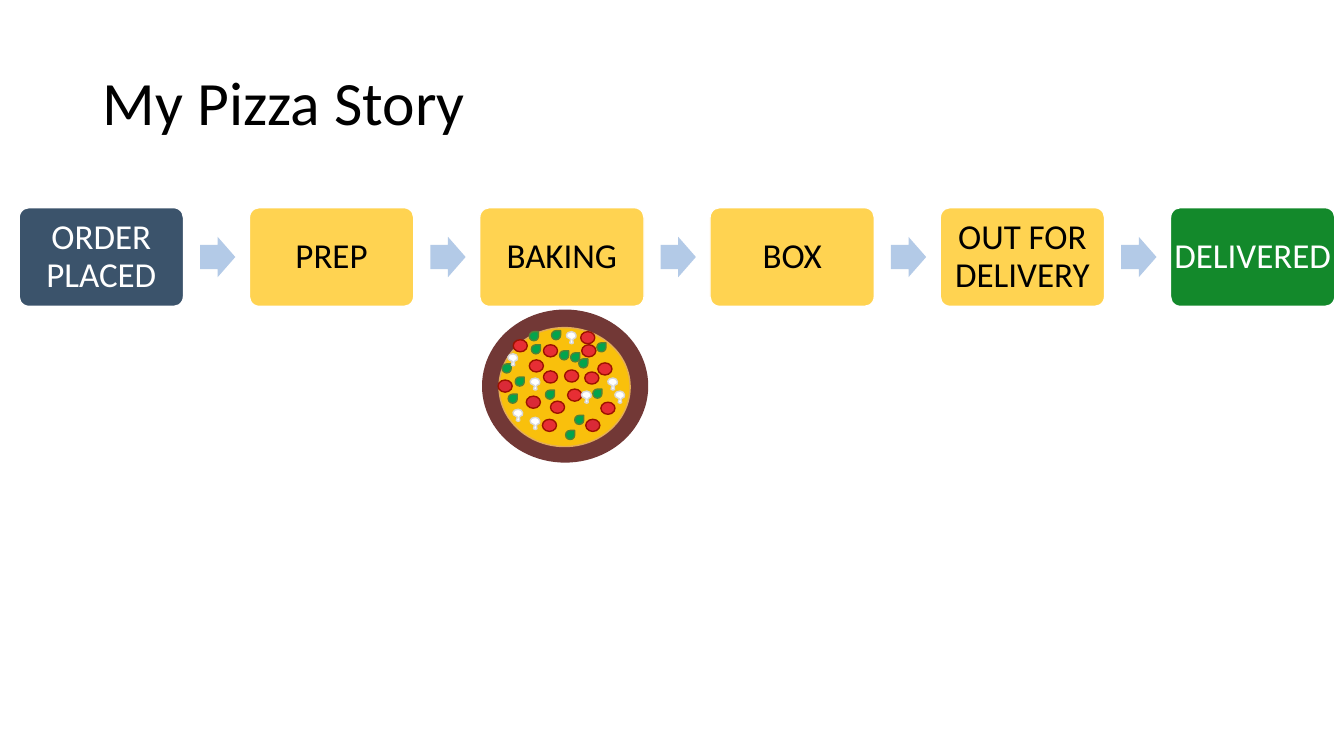
from lxml import etree
from pptx import Presentation
from pptx import util as u
from pptx.dml.color import RGBColor
from pptx.enum import shapes, text
from pptx.oxml import ns

NAVY = RGBColor(0x3B, 0x53, 0x6B)
YELLOW = RGBColor(0xFF, 0xD3, 0x51)
GREEN = RGBColor(0x13, 0x89, 0x2B)
BLUE = RGBColor(0xB3, 0xCA, 0xE7)
WHITE = RGBColor(0xFF, 0xFF, 0xFF)
BLACK = RGBColor(0, 0, 0)
CRUST = RGBColor(0x72, 0x38, 0x36)
DOUGH = RGBColor(0xE4, 0xAD, 0x56)
CHEESE = RGBColor(0xF9, 0xC0, 0x0C)
RED = RGBColor(0xE7, 0x2E, 0x34)
DARK = RGBColor(0xDA, 0x2A, 0x37)
RIM = RGBColor(0x9C, 0x12, 0x00)
LEAF = RGBColor(0x02, 0xA4, 0x4D)
STEM = RGBColor(0x54, 0x81, 0x35)
GREY = RGBColor(0xD8, 0xD8, 0xD8)

KIND = shapes.MSO_SHAPE
STEPS = [
    ("ORDER PLACED", NAVY, WHITE),
    ("PREP", YELLOW, BLACK),
    ("BAKING", YELLOW, BLACK),
    ("BOX", YELLOW, BLACK),
    ("OUT FOR DELIVERY", YELLOW, BLACK),
    ("DELIVERED", GREEN, WHITE),
]

# Topping places, from the top left of the pizza
TOMATOES = [
    (0.54, 0.54, RED), (0.37, 0.79, DARK), (0.4, 0.43, RED), (0.78, 0.72, RED),
    (0.61, 0.84, RED), (0.09, 0.63, DARK), (0.96, 1.02, DARK), (0.54, 0.28, RED),
    (0.53, 1.02, RED), (0.95, 0.55, RED), (0.75, 0.53, RED), (1.08, 0.46, RED),
    (1.11, 0.85, RED), (0.24, 0.23, RED), (0.91, 0.15, RED), (0.92, 0.28, RED),
]
LEAVES = [
    (0.56, 0.73), (0.85, 0.98), (0.19, 0.77), (1.03, 0.72), (0.89, 0.42),
    (0.76, 1.13), (0.62, 0.14), (0.42, 0.28), (0.13, 0.47), (0.26, 0.6),
    (1.07, 0.26), (0.81, 0.36), (0.7, 0.34), (0.4, 0.15),
]
MUSHROOMS = [
    (0.76, 0.15), (1.24, 0.74), (0.91, 0.74), (0.4, 0.61),
    (0.18, 0.37), (0.23, 0.92), (1.17, 0.61), (0.4, 1),
]
# Mushroom outline: a start and four cubic curves, cap first, then stem
START = (0.04, 0.07)
CURVES = [
    ((-0.01, 0.06), (0, 0), (0.06, 0)),
    ((0.11, 0), (0.12, 0.07), (0.08, 0.07)),
    ((0.05, 0.08), (0.1, 0.12), (0.06, 0.12)),
    ((0.01, 0.12), (0.08, 0.07), START),
]


def write(shape, words, size, color, align=text.PP_ALIGN.LEFT, inset=(0, 0)):
    frame = shape.text_frame
    frame.word_wrap = True
    frame.auto_size = text.MSO_AUTO_SIZE.NONE
    frame.vertical_anchor = text.MSO_ANCHOR.MIDDLE
    frame.margin_left = frame.margin_right = u.Inches(inset[0])
    frame.margin_top = frame.margin_bottom = u.Inches(inset[1])
    para = frame.paragraphs[0]
    para.alignment = align
    para.line_spacing = 0.9
    run = para.add_run()
    run.text = words
    run.font.name = "Calibri"
    run.font.size = u.Pt(size)
    run.font.color.rgb = color


def paint(shape, fill, line=None, width=1):
    shape.shadow.inherit = False
    shape.fill.solid()
    shape.fill.fore_color.rgb = fill
    if line is None:
        shape.line.fill.background()
    else:
        shape.line.color.rgb = line
        shape.line.width = u.Pt(width)


def draw(group, kind, box, fill, line=None, width=1, adjust=()):
    shape = group.shapes.add_shape(kind, *map(u.Inches, box))
    for i, value in enumerate(adjust):
        shape.adjustments[i] = value
    paint(shape, fill, line, width)
    return shape


def trace(trail, tag, dots):
    move = etree.SubElement(trail, ns.qn(tag))
    for x, y in dots:
        etree.SubElement(move, ns.qn("a:pt"),
                         x=str(u.Inches(x)), y=str(u.Inches(y)))


def mushroom(group, left, top, wide=0.1, high=0.12):
    x, y = u.Inches(left), u.Inches(top)
    right, base = x + u.Inches(wide), y + u.Inches(high)
    pen = group.shapes.build_freeform(x, y)
    pen.add_line_segments([(right, y), (right, base), (x, base)])
    shape = pen.convert_to_shape()
    # Curves take the place of the straight frame
    trail = next(shape.element.iter(ns.qn("a:path")))
    for part in list(trail):
        trail.remove(part)
    trace(trail, "a:moveTo", [START])
    for curve in CURVES:
        trace(trail, "a:cubicBezTo", curve)
    trace(trail, "a:close", [])
    paint(shape, WHITE, GREY)


def heading(slide, left, top, wide, high):
    title = slide.shapes.title
    title.left, title.top = u.Inches(left), u.Inches(top)
    title.width, title.height = u.Inches(wide), u.Inches(high)
    write(title, "My Pizza Story", 44, BLACK, inset=(0.1, 0.05))


def flow(slide, left, top, wide, high):
    group = slide.shapes.add_group_shape()
    card = 1.63
    pitch = (wide - card) / (len(STEPS) - 1)
    for i, (words, fill, color) in enumerate(STEPS):
        x = left + i * pitch
        if i:  # Arrow from the step before
            place = (x - 0.49, top + (high - 0.4) / 2, 0.35, 0.4)
            draw(group, KIND.RIGHT_ARROW, place, BLUE, adjust=(0.6, 0.5))
        step = draw(group, KIND.ROUNDED_RECTANGLE, (x, top, card, high),
                    fill, WHITE, adjust=(0.1,))
        write(step, words, 25, color, align=text.PP_ALIGN.CENTER)


def pizza(slide, left, top, wide, high):
    group = slide.shapes.add_group_shape()
    # Crust and cheese
    draw(group, KIND.DONUT, (left, top, wide, high), DOUGH, CRUST, 10, (0.068,))
    draw(group, KIND.OVAL, (left + 0.1, top + 0.11, wide - 0.21, high - 0.2),
         CHEESE, DOUGH)
    # Toppings
    for x, y, fill in TOMATOES:
        draw(group, KIND.OVAL, (left + x, top + y, 0.14, 0.12), fill, RIM)
    for x, y in LEAVES:
        draw(group, KIND.TEAR, (left + x, top + y, 0.09, 0.09), LEAF, STEM)
    for x, y in MUSHROOMS:
        mushroom(group, left + x, top + y)


def main():
    deck = Presentation()
    deck.slide_width, deck.slide_height = u.Inches(13.33), u.Inches(7.5)
    slide = deck.slides.add_slide(deck.slide_layouts[5])
    heading(slide, 0.92, 0.59, 11.5, 0.92)
    flow(slide, 0.19, 2.06, 13.05, 0.98)
    pizza(slide, 4.85, 3.14, 1.51, 1.38)
    deck.save("out.pptx")


if __name__ == "__main__":
    main()
